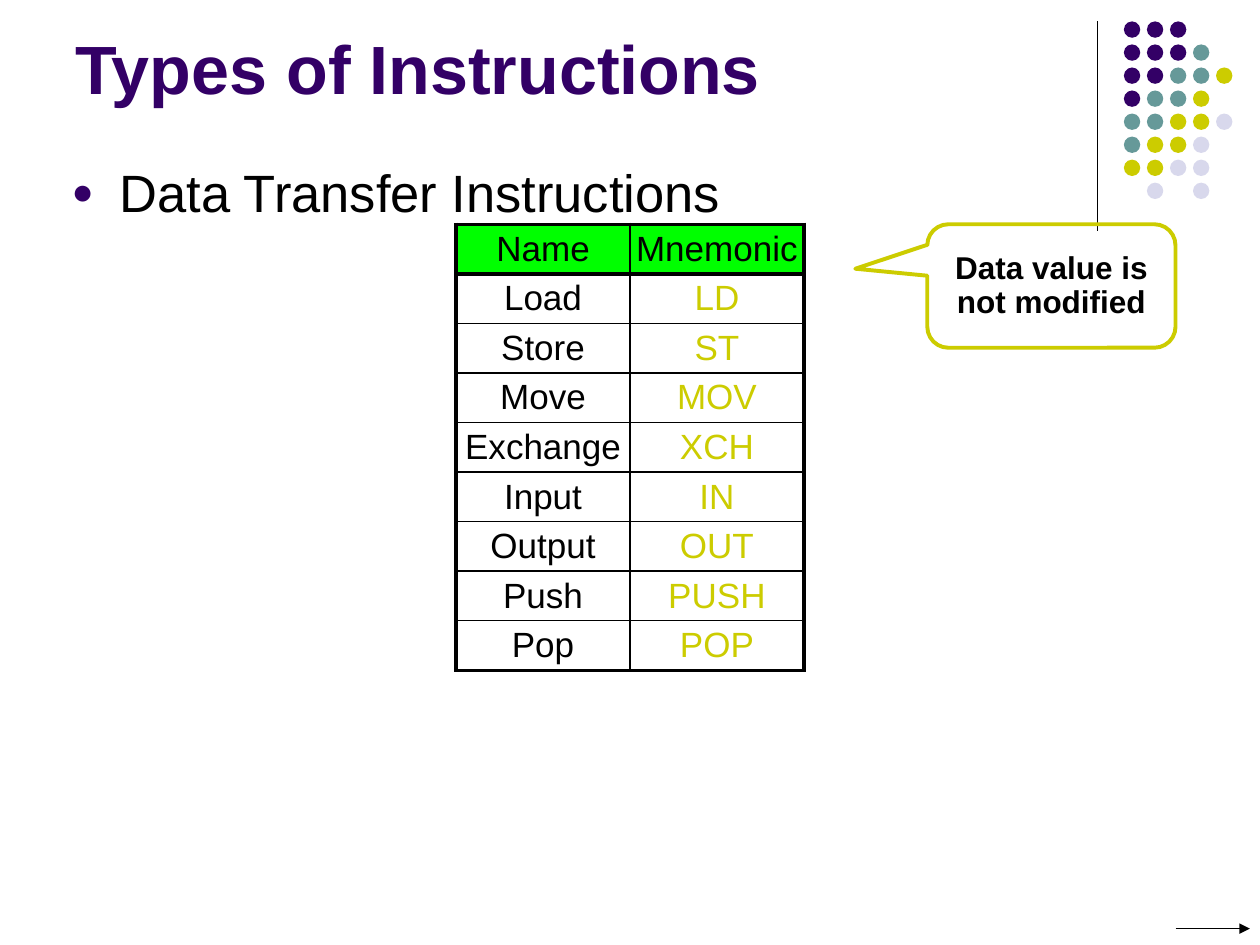
from lxml import etree
from pptx import Presentation
from pptx import util as u
from pptx.dml.color import RGBColor
from pptx.enum import shapes, text
from pptx.oxml import ns

INK = "000000"
PURPLE = "330066"
TEAL = "669999"
OLIVE = "CCCC00"
PALE = "D8D8EC"
GREEN = "00FF00"

DOT_COLOURS = {"P": PURPLE, "T": TEAL, "O": OLIVE, "L": PALE}
DOT_ROWS = ["PPP", "PPPT", "PPTTO", "PTTO", "TTOOL", "TOOL", "OOLL", " L L"]

INSTRUCTIONS = [
    ("Name", "Mnemonic"),
    ("Load", "LD"),
    ("Store", "ST"),
    ("Move", "MOV"),
    ("Exchange", "XCH"),
    ("Input", "IN"),
    ("Output", "OUT"),
    ("Push", "PUSH"),
    ("Pop", "POP"),
]


def colour(code):
    return RGBColor.from_string(code)


def add_element(parent, tag, **attributes):
    element = etree.SubElement(parent, ns.qn(tag))
    for name, value in attributes.items():
        element.set(name, str(value))
    return element


class SlideBuilder:
    font_name = "Arial"

    def __init__(self, slide):
        self.slide = slide

    def add_text(self, paragraph, words, size, code=INK, bold=False):
        run = paragraph.add_run()
        run.text = words
        run.font.name = self.font_name
        run.font.size = u.Pt(size)
        run.font.bold = bold
        run.font.color.rgb = colour(code)

    def text_box(self, left, top, width, height, anchor):
        box = self.slide.shapes.add_textbox(
            u.Inches(left), u.Inches(top), u.Inches(width), u.Inches(height))
        box.text_frame.word_wrap = True
        box.text_frame.vertical_anchor = anchor
        return box.text_frame.paragraphs[0]

    def title(self, words):
        paragraph = self.text_box(0.5, 0.13, 8.25, 0.78, text.MSO_ANCHOR.BOTTOM)
        self.add_text(paragraph, words, 39, PURPLE, bold=True)

    def bullet(self, words):
        paragraph = self.text_box(0.47, 1.22, 9.06, 5.49, text.MSO_ANCHOR.TOP)
        properties = paragraph._p.get_or_add_pPr()
        indent = u.Inches(0.38)
        properties.set("marL", str(indent))
        properties.set("indent", str(-indent))
        bullet_colour = add_element(properties, "a:buClr")
        add_element(bullet_colour, "a:srgbClr", val=PURPLE)
        add_element(properties, "a:buSzPct", val=70000)
        add_element(properties, "a:buFont", typeface=self.font_name)
        add_element(properties, "a:buChar", char="●")
        self.add_text(paragraph, words, 30)

    def line(self, start, end, arrow=False):
        connector = self.slide.shapes.add_connector(
            shapes.MSO_CONNECTOR.STRAIGHT, *map(u.Inches, start + end))
        connector.line.color.rgb = colour(INK)
        connector.line.width = u.Pt(0.75)
        if arrow:
            add_element(connector.line._get_or_add_ln(), "a:tailEnd", type="triangle")
        add_element(connector._element.spPr, "a:effectLst")

    def dots(self, left, top, pitch, diameter):
        group = self.slide.shapes.add_group_shape()
        for row, pattern in enumerate(DOT_ROWS):
            for column, key in enumerate(pattern):
                if key == " ":
                    continue
                dot = group.shapes.add_shape(
                    shapes.MSO_SHAPE.OVAL,
                    u.Inches(left + column * pitch), u.Inches(top + row * pitch),
                    u.Inches(diameter), u.Inches(diameter))
                dot.shadow.inherit = False
                dot.fill.solid()
                dot.fill.fore_color.rgb = colour(DOT_COLOURS[key])
                dot.line.fill.background()

    def borders(self, cell, thick_sides):
        properties = cell._tc.get_or_add_tcPr()
        for side in "LRTB":
            width = u.Pt(2.25 if side in thick_sides else 1)
            border = add_element(properties, "a:ln" + side, w=width)
            fill = add_element(border, "a:solidFill")
            add_element(fill, "a:srgbClr", val=INK)

    def table(self, rows, left, top, width, height):
        frame = self.slide.shapes.add_table(
            len(rows), len(rows[0]),
            u.Inches(left), u.Inches(top), u.Inches(width), u.Inches(height))
        table = frame.table
        table.first_row = False
        table.horz_banding = False
        last_row = len(rows) - 1
        for row, labels in enumerate(rows):
            for column, label in enumerate(labels):
                cell = table.cell(row, column)
                cell.margin_left = cell.margin_right = 0
                cell.margin_top = cell.margin_bottom = 0
                cell.vertical_anchor = text.MSO_ANCHOR.MIDDLE
                thick_sides = "L" if column == 0 else "R"
                thick_sides += "T" if row <= 1 else ""
                thick_sides += "B" if row in (0, last_row) else ""
                self.borders(cell, thick_sides)
                if row == 0:
                    cell.fill.solid()
                    cell.fill.fore_color.rgb = colour(GREEN)
                else:
                    cell.fill.background()
                paragraph = cell.text_frame.paragraphs[0]
                paragraph.alignment = text.PP_ALIGN.CENTER
                is_mnemonic = row > 0 and column == 1
                self.add_text(paragraph, label, 20, OLIVE if is_mnemonic else INK)

    def callout(self, words, left, top, width, height):
        shape = self.slide.shapes.add_shape(
            shapes.MSO_SHAPE.ROUNDED_RECTANGULAR_CALLOUT,
            u.Inches(left), u.Inches(top), u.Inches(width), u.Inches(height))
        for index, value in enumerate((-0.79, -0.14, 0.17)):
            shape.adjustments[index] = value
        shape.shadow.inherit = False
        shape.fill.background()
        shape.line.color.rgb = colour(OLIVE)
        shape.line.width = u.Pt(2.25)
        frame = shape.text_frame
        frame.word_wrap = True
        frame.vertical_anchor = text.MSO_ANCHOR.MIDDLE
        frame.margin_left = frame.margin_right = 0
        frame.margin_top = frame.margin_bottom = 0
        paragraph = frame.paragraphs[0]
        paragraph.alignment = text.PP_ALIGN.CENTER
        paragraph.line_spacing = 0.9
        self.add_text(paragraph, words, 18, bold=True)


def main():
    presentation = Presentation()
    presentation.slide_width = u.Inches(10)
    presentation.slide_height = u.Inches(7.5)
    slide = presentation.slides.add_slide(presentation.slide_layouts[6])
    builder = SlideBuilder(slide)
    builder.line((8.71, 0.17), (8.71, 1.83))
    builder.dots(8.92, 0.17, pitch=1.28 / 7, diameter=0.13)
    builder.title("Types of Instructions")
    builder.bullet("Data Transfer Instructions")
    builder.table(INSTRUCTIONS, 3.62, 1.78, 2.76, 3.54)
    builder.callout("Data value is not modified", 7.36, 1.78, 1.97, 0.98)
    builder.line((9.33, 7.37), (9.92, 7.37), arrow=True)
    presentation.save("out.pptx")


if __name__ == "__main__":
    main()
